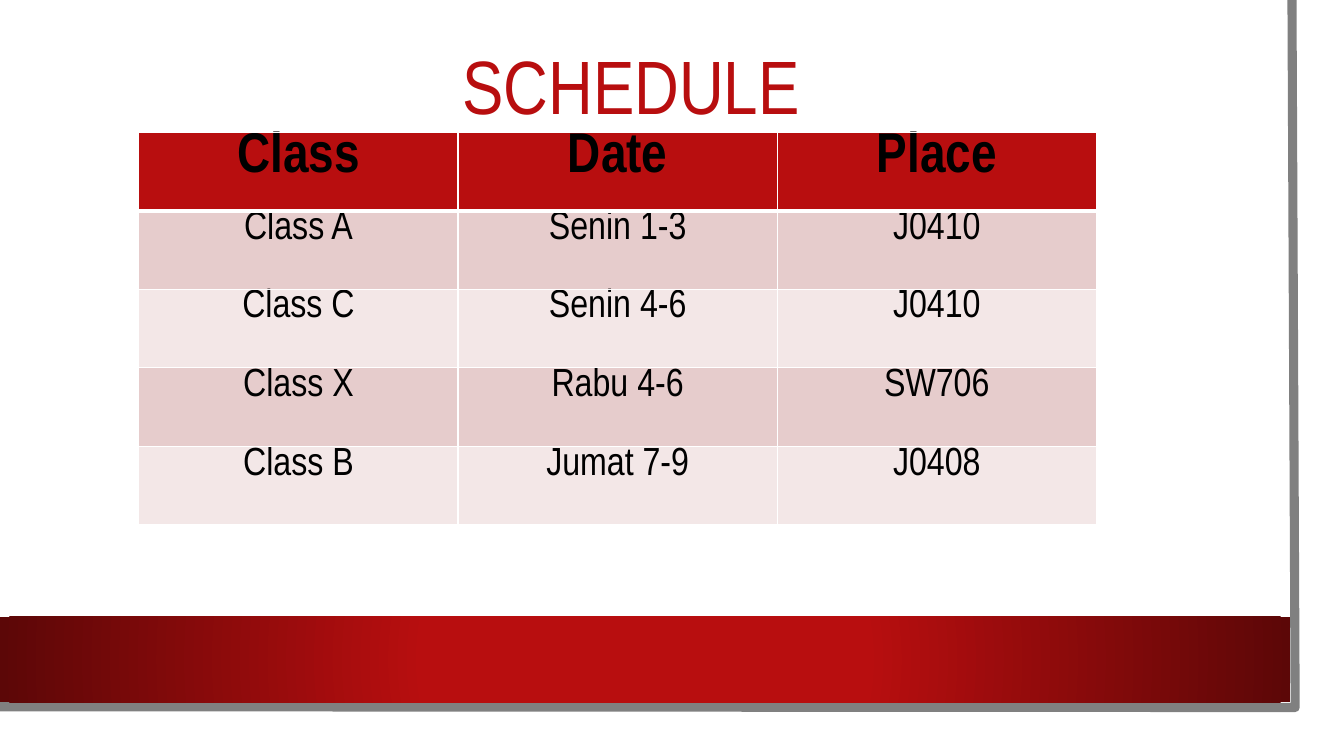
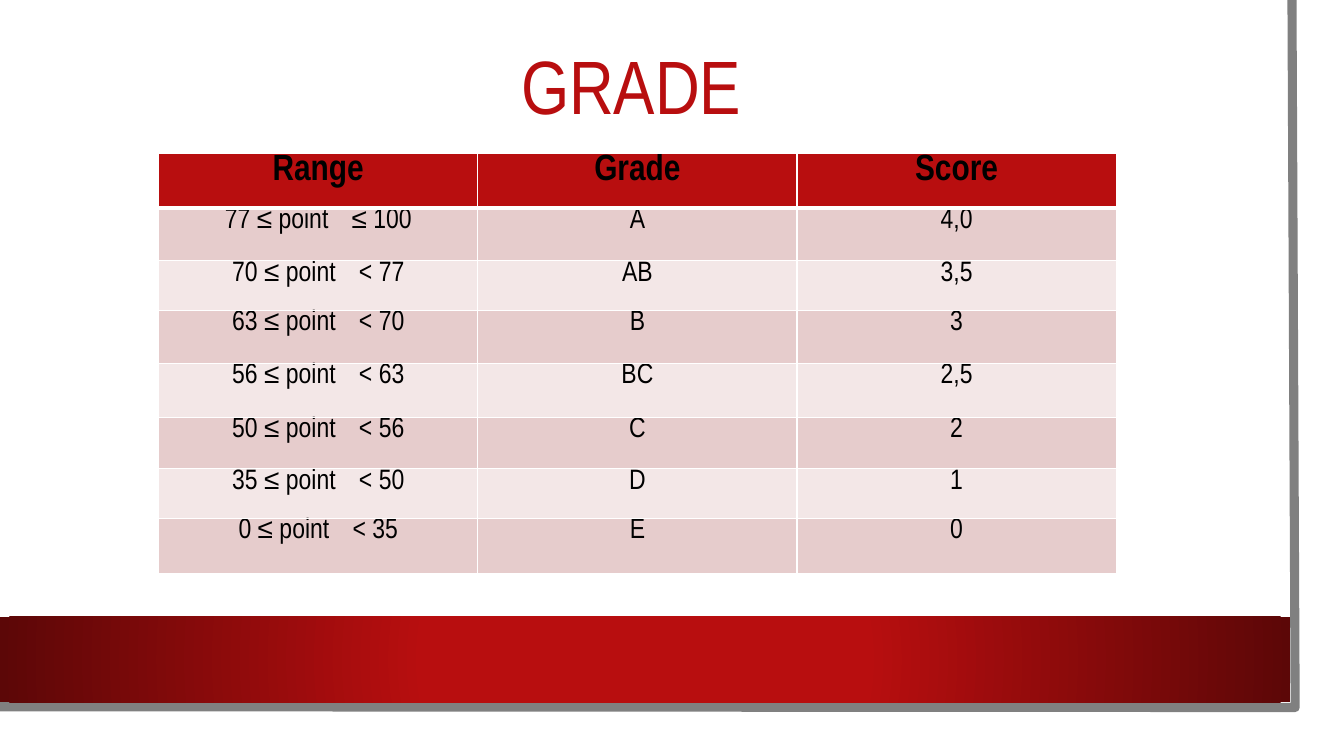
from lxml import etree
from pptx import Presentation
from pptx.dml.color import RGBColor
from pptx.enum.shapes import MSO_SHAPE
from pptx.enum.text import MSO_ANCHOR, PP_ALIGN
from pptx.oxml import parse_xml
from pptx.oxml.ns import nsdecls, qn
from pptx.util import Cm, Pt

CENTER = PP_ALIGN.CENTER
MIDDLE = MSO_ANCHOR.MIDDLE
RECTANGLE = MSO_SHAPE.RECTANGLE

FONT = "Arial Narrow"
COLORS = {
    "paper": "FFFFFF",
    "red": "B80E0F",
    "dark_red": "5C0707",
    "frame": "808080",
    "ink": "000000",
    "odd_row": "E6CCCC",
    "even_row": "F3E7E7",
}
TITLE_BOX = (1.47, 0.66, 28.88, 3.2)
BAND_BOX = (0, 15.54, 32.51, 2.16)
FRAME_POINTS = [(32.56, 0), (32.64, 17.83), (-0.08, 17.81)]
TABLE_WIDTH = 24.13
RANGE_GAP = 12

SCHEDULE = [
    ("Class", "Date", "Place"),
    ("Class A", "Senin 1-3", "J0410"),
    ("Class C", "Senin 4-6", "J0410"),
    ("Class X", "Rabu 4-6", "SW706"),
    ("Class B", "Jumat 7-9", "J0408"),
]
GRADES = [
    ("Range", "Grade", "Score"),
    (("77 ≤ point", "≤ 100"), "A", "4,0"),
    (("70 ≤ point", "< 77"), "AB", "3,5"),
    (("63 ≤ point", "< 70"), "B", "3"),
    (("56 ≤ point", "< 63"), "BC", "2,5"),
    (("50 ≤ point", "< 56"), "C", "2"),
    (("35 ≤ point", "< 50"), "D", "1"),
    (("0 ≤ point", "< 35"), "E", "0"),
]


def rgb(name):
    """Return the named palette colour."""
    return RGBColor.from_string(COLORS[name])


def add_run(paragraph, text, size, color, bold=False):
    """Append one styled run to a paragraph."""
    run = paragraph.add_run()
    run.text = text
    run.font.name = FONT
    run.font.size = Pt(size)
    run.font.bold = bold
    run.font.color.rgb = rgb(color)
    return run


def fill_radial(shape, inner, outer):
    """Fill a shape with a gradient spreading from its centre."""
    shape.fill.background()
    gradient = parse_xml(
        f'<a:gradFill {nsdecls("a")} rotWithShape="1"><a:gsLst>'
        f'<a:gs pos="34000"><a:srgbClr val="{COLORS[inner]}"/></a:gs>'
        f'<a:gs pos="100000"><a:srgbClr val="{COLORS[outer]}"/></a:gs>'
        '</a:gsLst><a:path path="circle">'
        '<a:fillToRect l="50000" t="50000" r="50000" b="50000"/>'
        "</a:path></a:gradFill>"
    )
    properties = shape.fill._xPr
    properties.replace(properties.find(qn("a:noFill")), gradient)


def add_backdrop(slide):
    """Draw the grey page edge and the red band."""
    start, *corners = [(Cm(x), Cm(y)) for x, y in FRAME_POINTS]
    outline = slide.shapes.build_freeform(*start)
    outline.add_line_segments(corners, close=False)
    frame = outline.convert_to_shape()
    frame.shadow.inherit = False
    frame.fill.background()
    frame.line.color.rgb = rgb("frame")
    frame.line.width = Pt(6.5)

    band = slide.shapes.add_shape(RECTANGLE, *map(Cm, BAND_BOX))
    band.shadow.inherit = False
    band.line.fill.background()
    fill_radial(band, "red", "dark_red")


def add_title(slide, text, box=TITLE_BOX):
    """Place the slide title, centred in its box."""
    frame = slide.shapes.add_textbox(*map(Cm, box)).text_frame
    frame.word_wrap = True
    frame.vertical_anchor = MIDDLE
    paragraph = frame.paragraphs[0]
    paragraph.alignment = CENTER
    paragraph.line_spacing = 0.9
    add_run(paragraph, text, 54, "red")


def set_borders(cell, top, bottom):
    """Give a cell white borders, with its own top and bottom widths."""
    properties = cell._tc.get_or_add_tcPr()
    for side, width in (("L", 1), ("R", 1), ("T", top), ("B", bottom)):
        line = etree.SubElement(properties, qn(f"a:ln{side}"), w=str(Pt(width)))
        solid = etree.SubElement(line, qn("a:solidFill"))
        etree.SubElement(solid, qn("a:srgbClr"), val=COLORS["paper"])


def style_cell(cell, row):
    """Set the borders, fill and margins of a cell by its row."""
    set_borders(cell, top=3 if row == 1 else 1, bottom=3 if row == 0 else 1)
    cell.fill.solid()
    band = "odd_row" if row % 2 else "even_row"
    cell.fill.fore_color.rgb = rgb(band if row else "red")
    cell.margin_top = cell.margin_bottom = 0


def write_cell(cell, content, size, bold):
    """Write a centred entry, with a wide gap between the parts of a range."""
    paragraph = cell.text_frame.paragraphs[0]
    paragraph.alignment = CENTER
    parts = (content,) if isinstance(content, str) else content
    for index, part in enumerate(parts):
        if index:
            gap = add_run(paragraph, " ", size, "ink", bold)
            gap.font._element.set("spc", str(RANGE_GAP * 100))
        add_run(paragraph, part, size, "ink", bold)


def add_grid(slide, left, top, entries, heights, head_size, body_size):
    """Build a table with a red header row and alternating body rows."""
    columns = len(entries[0])
    table = slide.shapes.add_table(
        len(entries), columns, Cm(left), Cm(top), Cm(TABLE_WIDTH), Cm(sum(heights))
    ).table
    for column in table.columns:
        column.width = Cm(TABLE_WIDTH / columns)
    for row, (values, height) in enumerate(zip(entries, heights)):
        table.rows[row].height = Cm(height)
        for column, content in enumerate(values):
            cell = table.cell(row, column)
            style_cell(cell, row)
            write_cell(cell, content, body_size if row else head_size, row == 0)


def add_table_slide(deck, title, **grid):
    """Add a slide with the shared backdrop, a title and one table."""
    slide = deck.slides.add_slide(deck.slide_layouts[6])
    add_backdrop(slide)
    add_title(slide, title)
    add_grid(slide, **grid)


def main():
    """Build and save the deck."""
    deck = Presentation()
    deck.slide_width, deck.slide_height = Cm(33.87), Cm(19.05)
    add_table_slide(
        deck, "SCHEDULE", left=3.5, top=3.33, entries=SCHEDULE,
        heights=[1.98] * len(SCHEDULE), head_size=40, body_size=28,
    )
    add_table_slide(
        deck, "GRADE", left=4, top=3.87, entries=GRADES,
        heights=[1.37, 1.33, 1.25, 1.33, 1.37, 1.29, 1.25, 1.4],
        head_size=26, body_size=20,
    )
    deck.save("out.pptx")


if __name__ == "__main__":
    main()
